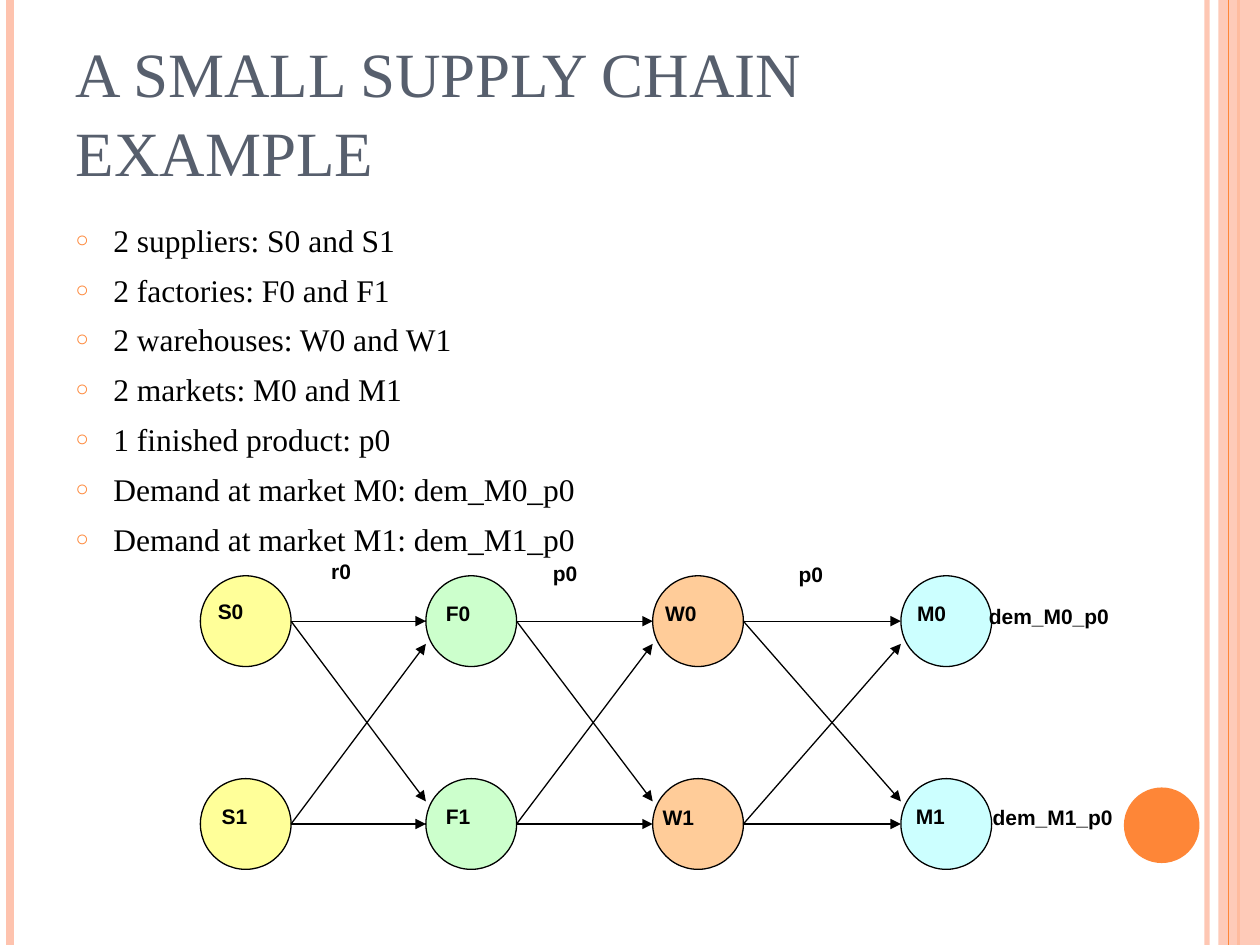
from lxml.etree import SubElement
from pptx import Presentation
from pptx.dml.color import RGBColor
from pptx.enum.shapes import MSO_CONNECTOR as LINK, MSO_SHAPE as SHAPE
from pptx.enum.text import MSO_ANCHOR as ANCHOR, MSO_AUTO_SIZE as FIT, PP_ALIGN as ALIGN
from pptx.oxml.ns import qn
from pptx.util import Inches, Pt

ORANGE = RGBColor(0xFE, 0x86, 0x37)
PEACH = RGBColor(0xFE, 0xC3, 0xAE)
SLATE = RGBColor(0x57, 0x5F, 0x6D)
BLACK = RGBColor(0, 0, 0)
YELLOW = RGBColor(0xFF, 0xFF, 0x99)
GREEN = RGBColor(0xCC, 0xFF, 0xCC)
TAN = RGBColor(0xFF, 0xCC, 0x99)
CYAN = RGBColor(0xCC, 0xFF, 0xFF)
SERIF = "Times New Roman"

prs = Presentation()
prs.slide_width, prs.slide_height = Inches(10), Inches(7.5)
slide = prs.slides.add_slide(prs.slide_layouts[1])
shapes = slide.shapes


def draw_line(x1, y1, x2, y2, color, width):
    line = shapes.add_connector(LINK.STRAIGHT, Inches(x1), Inches(y1), Inches(x2), Inches(y2))
    line.line.color.rgb = color
    line.line.width = Pt(width)
    SubElement(line._element.spPr, qn("a:effectLst"))
    return line


def draw_shape(kind, x, y, w, h, color):
    shape = shapes.add_shape(kind, Inches(x), Inches(y), Inches(w), Inches(h))
    shape.shadow.inherit = False
    shape.fill.solid()
    shape.fill.fore_color.rgb = color
    shape.line.fill.background()
    return shape


# Side bands
edge = draw_line(9.58, 0, 9.58, 7.5, PEACH, 3)
draw_line(0.08, 0, 0.08, 7.5, PEACH, 4.5)
draw_line(9.83, 0, 9.83, 7.5, ORANGE, 1.5)
band = draw_shape(SHAPE.RECTANGLE, 9.67, 0, 0.33, 7.5, PEACH)
draw_line(9.75, 0, 9.75, 7.5, ORANGE, 0.75)
draw_shape(SHAPE.OVAL, 8.92, 6.25, 0.6, 0.6, ORANGE)
for part, alpha in ((edge, 93), (band, 87)):
    tint = next(part._element.spPr.iter(qn("a:srgbClr")))
    SubElement(tint, qn("a:alpha"), val=str(alpha * 1000))

# Title
title = shapes.title
title.left, title.top, title.width, title.height = map(Inches, (0.5, 0.3, 8.17, 1.25))
frame = title.text_frame
frame.text = "A SMALL SUPPLY CHAIN EXAMPLE"
frame.auto_size = FIT.NONE
frame.vertical_anchor = ANCHOR.BOTTOM
para = frame.paragraphs[0]
para.alignment = ALIGN.LEFT
para.line_spacing = 1.04
para.font.name, para.font.size = SERIF, Pt(36)
para.font.color.rgb = SLATE

# Bullet list
body = slide.placeholders[1]
body.left, body.top, body.width, body.height = map(Inches, (0.5, 1.69, 9, 4.95))
frame = body.text_frame
frame.text = "\n".join((
    "2 suppliers: S0 and S1",
    "2 factories: F0 and F1",
    "2 warehouses: W0 and W1",
    "2 markets: M0 and M1",
    "1 finished product: p0",
    "Demand at market M0: dem_M0_p0",
    "Demand at market M1: dem_M1_p0",
))
frame.auto_size = FIT.NONE
for i, para in enumerate(frame.paragraphs):
    para.space_before = Pt(6 if i else 0)
    para.line_spacing = 1.04
    props = para._p.get_or_add_pPr()
    props.set("marL", str(Inches(0.3)))
    props.set("indent", str(Inches(-0.3)))
    SubElement(SubElement(props, qn("a:buClr")), qn("a:srgbClr"), val=str(ORANGE))
    SubElement(props, qn("a:buSzPct"), val="70000")
    SubElement(props, qn("a:buChar"), char="○")
    para.font.name, para.font.size = SERIF, Pt(18)
    para.font.color.rgb = BLACK

# Supply chain nodes: one column per stage, two rows
SIZE = 0.72
rows = (4.57, 6.18)
cols = (1.59, 3.38, 5.18, 7.15)
for x, color in zip(cols, (YELLOW, GREEN, TAN, CYAN)):
    for y in rows:
        node = draw_shape(SHAPE.OVAL, x, y, SIZE, SIZE, color)
        node.line.color.rgb = BLACK
        node.line.width = Pt(0.75)

# Every node feeds both nodes of the next stage
mids = [y + SIZE / 2 for y in rows]
ends = (mids[0] + 0.18, mids[1] - 0.18)
for x, goal in zip(cols, cols[1:]):
    for i, start in enumerate(mids):
        for j in range(2):
            stop = start if i == j else ends[j]
            arrow = draw_line(x + SIZE, start, goal, stop, BLACK, 0.75)
            SubElement(arrow.line._get_or_add_ln(), qn("a:tailEnd"), type="triangle")

# Labels
labels = (
    ("S0", 1.63, 4.7, 0.58), ("S1", 1.66, 6.33, 0.58),
    ("F0", 3.44, 4.72, 0.58), ("F1", 3.44, 6.33, 0.58),
    ("W0", 5.18, 4.72, 0.67), ("W1", 5.16, 6.34, 0.72),
    ("M0", 7.18, 4.72, 0.7), ("M1", 7.17, 6.33, 0.66),
    ("r0", 2.53, 4.38, 0.55), ("p0", 4.29, 4.4, 0.55), ("p0", 6.24, 4.41, 0.55),
    ("dem_M0_p0", 7.75, 4.74, 1.6), ("dem_M1_p0", 7.78, 6.34, 1.6),
)
for text, x, y, w in labels:
    box = shapes.add_textbox(Inches(x), Inches(y), Inches(w), Inches(0.4))
    frame = box.text_frame
    frame.word_wrap = True
    frame.text = text
    font = frame.paragraphs[0].runs[0].font
    font.name, font.size, font.bold = "Arial", Pt(12), True
    font.color.rgb = BLACK

prs.save("out.pptx")
